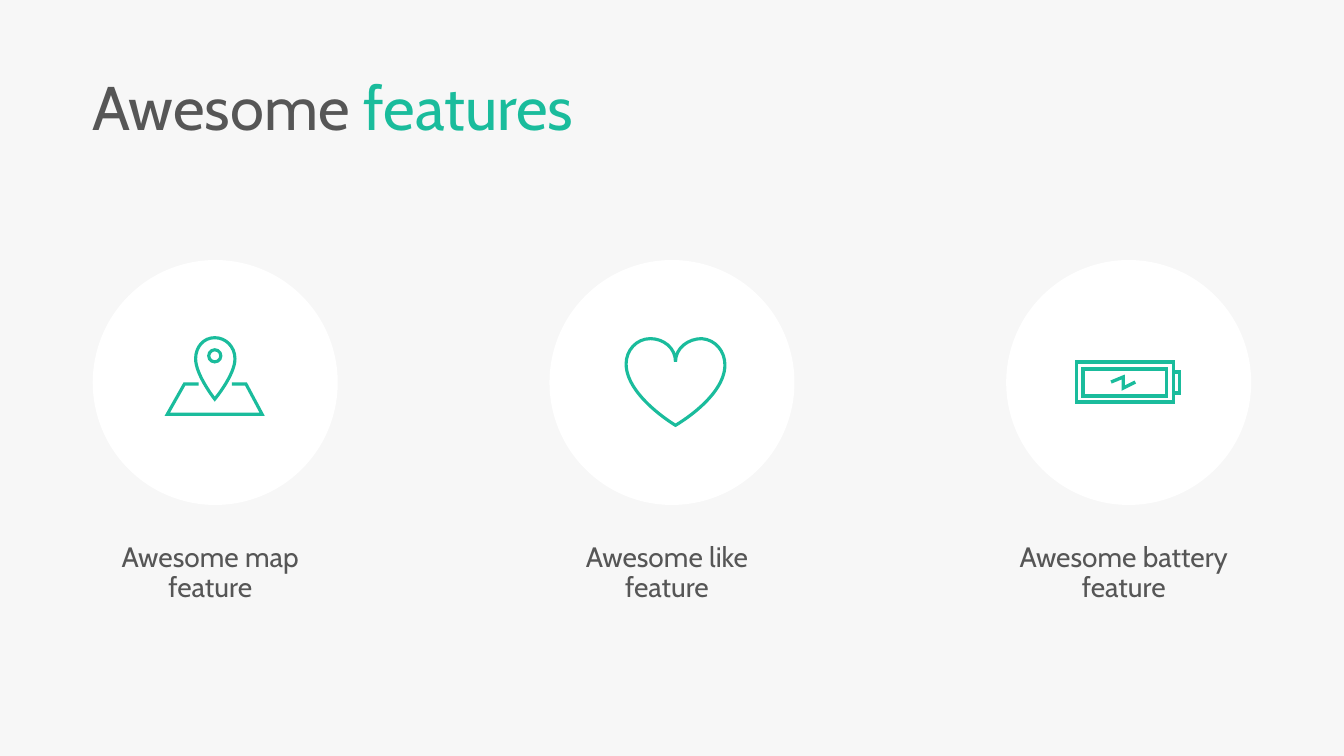
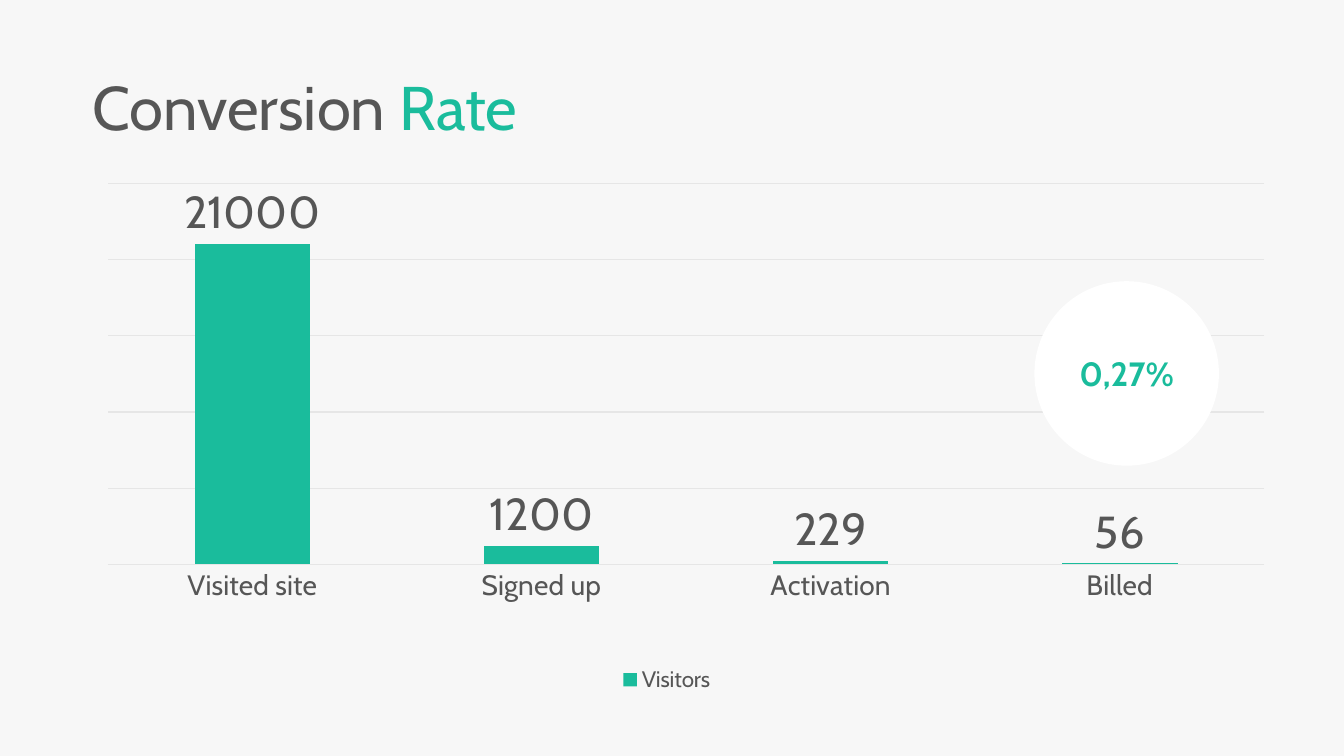
"""Build a two-slide deck: three product features and a conversion chart."""
from dataclasses import dataclass

from lxml.etree import SubElement
from pptx import Presentation
from pptx.chart.data import CategoryChartData
from pptx.dml.color import RGBColor
from pptx.enum.chart import XL_CHART_TYPE, XL_LABEL_POSITION, XL_LEGEND_POSITION, XL_TICK_LABEL_POSITION, XL_TICK_MARK
from pptx.enum.shapes import MSO_SHAPE
from pptx.enum.text import MSO_ANCHOR, PP_ALIGN
from pptx.oxml.ns import qn
from pptx.util import Emu, Pt


@dataclass(frozen=True)
class Theme:
    font: str = "Cabin"
    ground: str = "F7F7F7"
    disc: str = "FFFFFF"
    ink: str = "565656"
    accent: str = "1ABC9C"
    rule: str = "E6E6E6"
    title: int = 44
    value: int = 32
    rate: int = 24
    label: int = 20
    legend: int = 16
    stroke: float = 2.25
    heavy_stroke: float = 2.38
    hairline: float = 0.75


THEME = Theme()
PX = 9144
PAGE_WIDTH, PAGE_HEIGHT = 1333, 750
MARGIN, TITLE_BOX = 92, (92, 72, 490, 77)

DISC_SIZE, DISC_TOP = 243, 258
DISCS_RIGHT = 1241
LABEL_INSET, LABEL_TOP, LABEL_WIDTH, LABEL_HEIGHT = 11, 534, 221, 71

FEATURES_TITLE = ("Awesome ", "features")
FEATURES = [
    ("Awesome map feature", THEME.stroke, [
        ("oval", (115, 89, 12, 12)),
        ("curve", [(141, 98), (141, 86), (132, 77), (121, 77), (110, 77), (102, 86), (102, 98),
                   (102, 114), (121, 138), (121, 138), (121, 138), (141, 114), (141, 98)]),
        ("line", [(105, 123), (91, 123), (74, 153), (168, 153), (152, 123), (138, 123)]),
    ]),
    ("Awesome like feature", THEME.stroke, [
        ("curve", [(76, 103), (76, 135), (125, 164), (125, 164), (125, 164), (174, 136), (174, 104),
                   (174, 91), (165, 79), (151, 78), (138, 78), (125, 87), (125, 101),
                   (125, 87), (113, 78), (100, 78), (86, 78), (76, 90), (76, 103)]),
    ]),
    ("Awesome battery feature", THEME.heavy_stroke, [
        ("rectangle", (70, 101, 96, 40)),
        ("line", [(166, 111), (172, 111), (172, 132), (166, 132)]),
        ("rectangle", (76, 108, 83, 27)),
        ("line", [(104, 121), (116, 116), (116, 127), (128, 121)]),
    ]),
]

CONVERSION_TITLE = ("Conversion ", "Rate")
SERIES_NAME = "Visitors"
VISITORS = {"Visited site": 21000, "Signed up": 1200, "Activation": 229, "Billed": 56}
AXIS_MAXIMUM, AXIS_STEP = 25000, 5000
CHART_BOX = (92, 167, 1178, 526)
PLOT_AREA = {"x": 15, "y": 15, "w": 1147, "h": 378}
LEGEND_CORNER = {"x": 519, "y": 490}
RATE, RATE_BOX = "0,27%", (1026, 279, 183, 183)
PRESETS = {"oval": MSO_SHAPE.OVAL, "rectangle": MSO_SHAPE.RECTANGLE}


def px(*lengths):
    return [Emu(round(length * PX)) for length in lengths]


def color(code):
    return RGBColor.from_string(code)


def style_font(font, size, code=THEME.ink, bold=False):
    font.name, font.size, font.bold = THEME.font, Pt(size), bold
    font.color.rgb = color(code)


def write(frame, *spans, size, align=PP_ALIGN.LEFT, spacing=0.9, bold=False):
    frame.word_wrap = True
    para = frame.paragraphs[0]
    para.alignment, para.line_spacing = align, spacing
    for text, code in spans:
        span = para.add_run()
        span.text = text
        style_font(span.font, size, code, bold)


def add_text(page, box, *spans, **text_format):
    frame = page.shapes.add_textbox(*px(*box)).text_frame
    frame.margin_left = 0
    write(frame, *spans, **text_format)


def add_disc(page, box):
    disc = page.shapes.add_shape(MSO_SHAPE.OVAL, *px(*box))
    disc.shadow.inherit = False
    disc.fill.solid()
    disc.fill.fore_color.rgb = color(THEME.disc)
    disc.line.fill.background()
    return disc


def add_page(deck, title):
    page = deck.slides.add_slide(deck.slide_layouts[6])
    page.background.fill.solid()
    page.background.fill.fore_color.rgb = color(THEME.ground)
    add_text(page, TITLE_BOX, *zip(title, (THEME.ink, THEME.accent)), size=THEME.title)
    return page


def bend(outline):
    """Turn each three straight segments into one cubic Bezier segment."""
    segments = list(outline._element.iter(qn("a:lnTo")))
    for first in range(0, len(segments), 3):
        curve, *others = segments[first:first + 3]
        curve.tag = qn("a:cubicBezTo")
        for segment in others:
            curve.append(segment[0])
            segment.getparent().remove(segment)


def add_outline(shapes, points, closed):
    start, *others = [px(*point) for point in points]
    builder = shapes.build_freeform(*start)
    builder.add_line_segments(others, close=closed)
    return builder.convert_to_shape()


def add_icon(page, parts, left, top, width):
    shapes = page.shapes.add_group_shape().shapes if len(parts) > 1 else page.shapes
    for kind, geometry in parts:
        if kind in PRESETS:
            x, y, *size = geometry
            stroke = shapes.add_shape(PRESETS[kind], *px(left + x, top + y, *size))
        else:
            points = [(left + x, top + y) for x, y in geometry]
            stroke = add_outline(shapes, points, closed=kind == "curve")
        if kind == "curve":
            bend(stroke)
        stroke.shadow.inherit = False
        stroke.fill.background()
        stroke.line.color.rgb = color(THEME.accent)
        stroke.line.width = Pt(width)
        SubElement(stroke.line._get_or_add_ln(), qn("a:miter")).set("lim", "800000")


def build_features(deck):
    page = add_page(deck, FEATURES_TITLE)
    pitch = (DISCS_RIGHT - DISC_SIZE - MARGIN) / (len(FEATURES) - 1)
    for index, (label, width, icon) in enumerate(FEATURES):
        left = MARGIN + index * pitch
        add_disc(page, (left, DISC_TOP, DISC_SIZE, DISC_SIZE))
        add_icon(page, icon, left, DISC_TOP, width)
        add_text(page, (left + LABEL_INSET, LABEL_TOP, LABEL_WIDTH, LABEL_HEIGHT),
                 (label, THEME.ink), size=THEME.label, align=PP_ALIGN.CENTER)


def place(part, lengths, index, **modes):
    """Give a chart part a manual layout, as fractions of the chart box."""
    layout = part.find(qn("c:layout"))
    if layout is None:
        layout = SubElement(part, qn("c:layout"))
        part.insert(index, layout)
    manual = SubElement(layout, qn("c:manualLayout"))
    extents = dict(zip("xywh", CHART_BOX[2:] * 2))
    fractions = {name: length / extents[name] for name, length in lengths.items()}
    for name, value in {**modes, "xMode": "edge", "yMode": "edge", **fractions}.items():
        SubElement(manual, qn(f"c:{name}")).set("val", str(value))


def add_conversion_chart(page):
    data = CategoryChartData()
    data.categories = list(VISITORS)
    data.add_series(SERIES_NAME, list(VISITORS.values()))
    chart = page.shapes.add_chart(XL_CHART_TYPE.COLUMN_CLUSTERED, *px(*CHART_BOX), data).chart
    chart.has_title = False
    style_font(chart.font, THEME.legend)
    chart.has_legend = True
    chart.legend.position = XL_LEGEND_POSITION.BOTTOM
    chart.legend.include_in_layout = False
    style_font(chart.legend.font, THEME.legend)

    categories, values = chart.category_axis, chart.value_axis
    categories.major_tick_mark = XL_TICK_MARK.NONE
    categories.tick_label_position = XL_TICK_LABEL_POSITION.NEXT_TO_AXIS
    style_font(categories.tick_labels.font, THEME.label)
    values.visible = False
    values.major_tick_mark = XL_TICK_MARK.NONE
    values.minimum_scale, values.maximum_scale, values.major_unit = 0, AXIS_MAXIMUM, AXIS_STEP
    values.has_major_gridlines = True
    for line in (categories.format.line, values.major_gridlines.format.line):
        line.color.rgb = color(THEME.rule)
        line.width = Pt(THEME.hairline)

    plot = chart.plots[0]
    plot.gap_width, plot.vary_by_categories = 150, False
    columns = plot.series[0]
    columns.invert_if_negative = False
    columns.format.fill.solid()
    columns.format.fill.fore_color.rgb = color(THEME.accent)
    columns.format.line.fill.background()
    labels = columns.data_labels
    labels.show_value, labels.position = True, XL_LABEL_POSITION.OUTSIDE_END
    style_font(labels.font, THEME.value)
    place(plot._element.getparent(), PLOT_AREA, 0, layoutTarget="inner")
    place(chart.legend._element, LEGEND_CORNER, 1)


def build_conversion(deck):
    page = add_page(deck, CONVERSION_TITLE)
    add_conversion_chart(page)
    frame = add_disc(page, RATE_BOX).text_frame
    frame.vertical_anchor = MSO_ANCHOR.MIDDLE
    write(frame, (RATE, THEME.accent), size=THEME.rate, align=PP_ALIGN.CENTER, spacing=1.0, bold=True)


def main():
    deck = Presentation()
    deck.slide_width, deck.slide_height = px(PAGE_WIDTH, PAGE_HEIGHT)
    build_features(deck)
    build_conversion(deck)
    deck.save("out.pptx")


if __name__ == "__main__":
    main()
